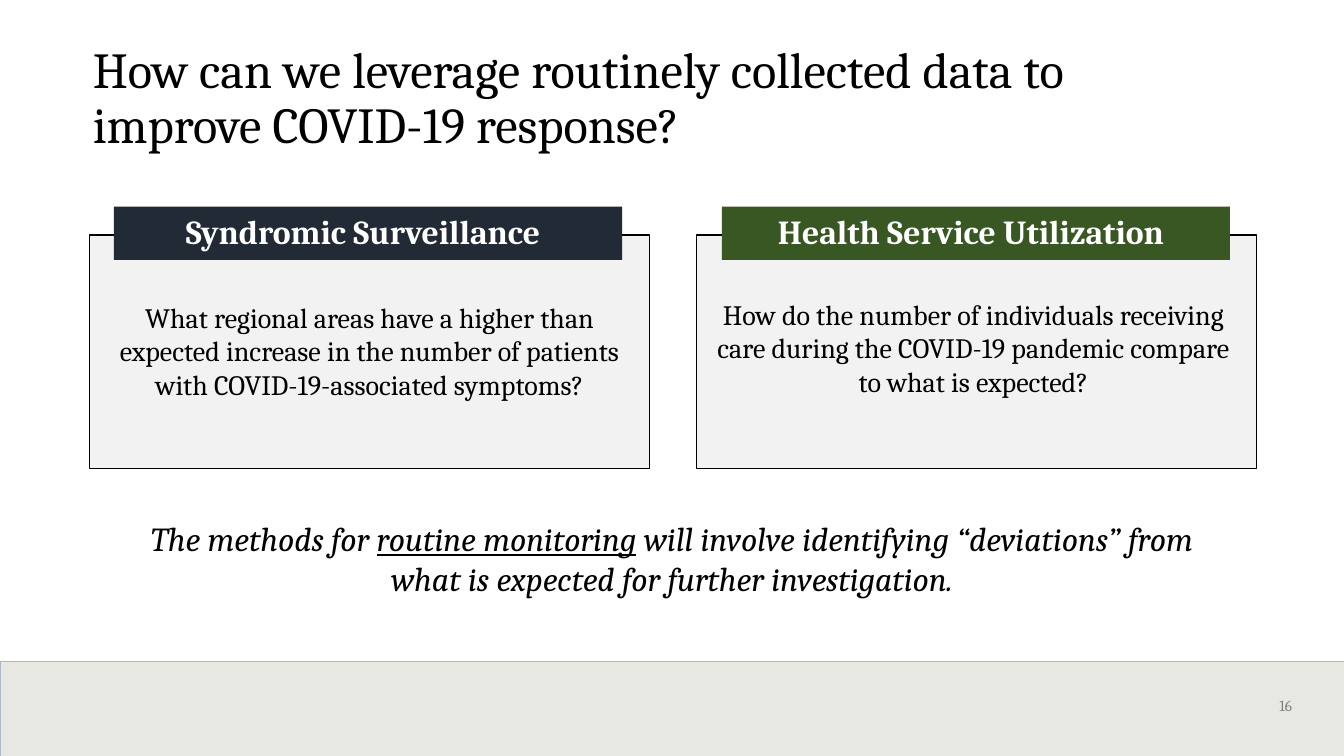
import lxml.etree
import pptx
import pptx.dml.color
import pptx.enum.shapes
import pptx.enum.text
import pptx.oxml.ns
import pptx.util

RGBColor = pptx.dml.color.RGBColor
Inches = pptx.util.Inches
Pt = pptx.util.Pt
ANCHOR = pptx.enum.text.MSO_ANCHOR
ALIGN = pptx.enum.text.PP_ALIGN

BLACK = RGBColor(0x00, 0x00, 0x00)
WHITE = RGBColor(0xFF, 0xFF, 0xFF)
PANEL_GRAY = RGBColor(0xF2, 0xF2, 0xF2)
NUMBER_GRAY = RGBColor(0x7F, 0x7F, 0x7F)
FOOTER_FILL = RGBColor(0xD3, 0xD3, 0xC9)
FOOTER_LINE = RGBColor(0xAD, 0xB9, 0xCA)
NAVY = RGBColor(0x22, 0x2A, 0x35)
GREEN = RGBColor(0x38, 0x57, 0x23)


class SlideBuilder:
    """Holds the text style and the slide being built."""

    base_font = {"name": "Cambria", "bold": False, "italic": False}

    def __init__(self, slide):
        self.slide = slide

    def place(self, shape, box):
        for name, value in zip(("left", "top", "width", "height"), box):
            setattr(shape, name, Inches(value))

    def add_runs(self, shape, runs, font, frame=None, paragraph_format=None):
        """Fill a shape with one paragraph; runs are (text, underlined) pairs."""
        text_frame = shape.text_frame
        paragraph = text_frame.paragraphs[0]
        frame_format = {"word_wrap": True, "auto_size": pptx.enum.text.MSO_AUTO_SIZE.NONE,
                        "vertical_anchor": ANCHOR.TOP, **(frame or {})}
        for target, values in ((text_frame, frame_format), (paragraph, paragraph_format or {})):
            for name, value in values.items():
                setattr(target, name, value)
        run_format = {**self.base_font, "color": BLACK, **font}
        color = run_format.pop("color")
        for text, underlined in runs:
            run = paragraph.add_run()
            run.text = text
            for name, value in {**run_format, "underline": underlined}.items():
                setattr(run.font, name, value)
            run.font.color.rgb = color
        return paragraph

    def title(self, box, text):
        shape = self.slide.shapes.title
        self.place(shape, box)
        self.add_runs(shape, [(text, False)], {"size": Pt(36)}, {"margin_left": 0},
                      {"alignment": ALIGN.LEFT, "line_spacing": 0.9})

    def rectangle(self, box, fill, line=None, line_width=1, alpha=None):
        shape = self.slide.shapes.add_shape(
            pptx.enum.shapes.MSO_SHAPE.RECTANGLE, *map(Inches, box))
        shape.shadow.inherit = False
        shape.fill.solid()
        shape.fill.fore_color.rgb = fill
        if alpha is not None:
            color = shape.fill._xPr.find(".//" + pptx.oxml.ns.qn("a:srgbClr"))
            lxml.etree.SubElement(color, pptx.oxml.ns.qn("a:alpha"), val=str(alpha * 1000))
        if line is None:
            shape.line.fill.background()
        else:
            shape.line.color.rgb = line
            shape.line.width = Pt(line_width)
        return shape

    def heading(self, box, text, fill):
        self.add_runs(self.rectangle(box, fill), [(text, False)],
                      {"size": Pt(24), "bold": True, "color": WHITE},
                      {"vertical_anchor": ANCHOR.MIDDLE, "margin_left": 0},
                      {"alignment": ALIGN.CENTER, "line_spacing": 0.9})

    def text(self, box, runs, font, alignment=ALIGN.CENTER):
        shape = self.slide.shapes.add_textbox(*map(Inches, box))
        return self.add_runs(shape, runs, font, None, {"alignment": alignment})


def main():
    presentation = pptx.Presentation()
    presentation.slide_width = Inches(13.33)
    presentation.slide_height = Inches(7.5)
    slide = presentation.slides.add_slide(presentation.slide_layouts[5])
    builder = SlideBuilder(slide)

    # Footer band and slide number
    builder.rectangle((0, 6.56, 13.33, 0.94), FOOTER_FILL, FOOTER_LINE, 0.5, alpha=50)
    number = builder.text((12.39, 6.86, 0.7, 0.37), [("16", False)],
                          {"size": Pt(11), "color": NUMBER_GRAY}, ALIGN.LEFT)
    number._p.get_or_add_pPr().set("marL", str(Inches(0.2)))

    # Title
    builder.title((0.92, 0.4, 11.5, 1.12),
                  "How can we leverage routinely collected data to improve COVID-19 response?")

    # Two question panels: panel left, heading left, question left and top
    panels = (
        (0.89, 1.13, 0.89, 2.93, NAVY, "Syndromic Surveillance",
         "What regional areas have a higher than expected increase in the number of "
         "patients with COVID-19-associated symptoms?"),
        (6.91, 7.16, 6.88, 2.9, GREEN, "Health Service Utilization",
         "How do the number of individuals receiving care during the COVID-19 pandemic "
         "compare to what is expected?"),
    )
    for panel_left, heading_left, left, top, color, heading, question in panels:
        builder.rectangle((panel_left, 2.33, 5.55, 2.32), PANEL_GRAY, BLACK)
        builder.heading((heading_left, 2.05, 5.04, 0.53), heading, color)
        builder.text((left, top, 5.55, 1.11), [(question, False)], {"size": Pt(20)})

    # Closing statement
    builder.text((1.13, 5.09, 11.07, 0.91),
                 [("The methods for ", False), ("routine monitoring", True),
                  (" will involve identifying “deviations” from what is expected "
                   "for further investigation.", False)],
                 {"size": Pt(24), "italic": True})

    presentation.save("out.pptx")


if __name__ == "__main__":
    main()
